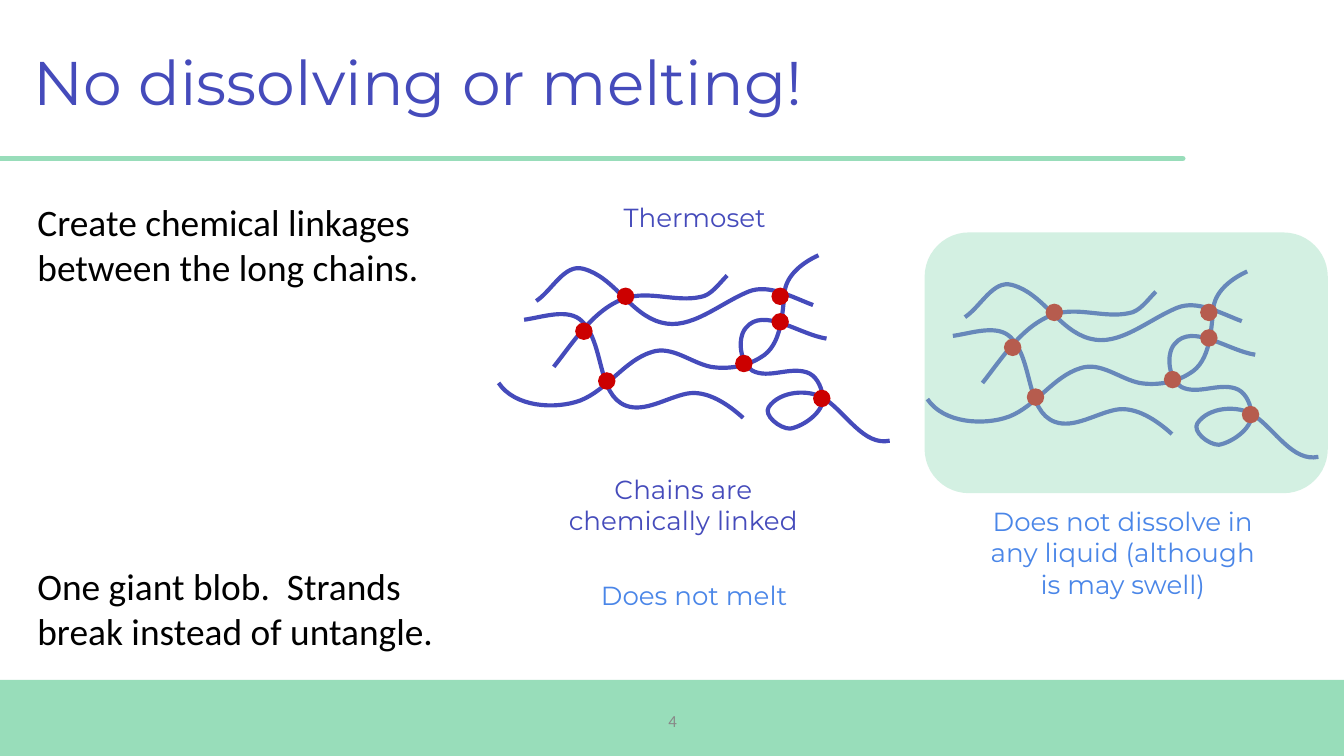
import pptx
import pptx.util
import pptx.dml.color
import pptx.enum.shapes
import pptx.enum.text
import pptx.oxml.ns
import lxml.etree

PX = 9144
HUES = {"mint": "98DDBA", "blue": "454BBB", "sky": "4A86E8",
        "red": "CC0000", "black": "000000", "gray": "888888"}
KINDS = pptx.enum.shapes.MSO_SHAPE
ALIGN = pptx.enum.text.PP_ALIGN
FIT = pptx.enum.text.MSO_AUTO_SIZE
MID = pptx.enum.text.MSO_ANCHOR.MIDDLE

LABEL = {"size": 14, "name": "Montserrat", "align": ALIGN.CENTER, "pads": (7, 4)}
NOTE = {"size": 20, "name": "Calibri", "align": ALIGN.LEFT, "pads": (10, 10)}

CHAINS = [
    [(28, 34), (40, 26), (49, 6), (63, 10), (86, 16), (98, 44), (121, 50),
     (143, 56), (164, 36), (186, 27), (201, 21), (218, 31), (234, 37)],
    [(41, 83), (56, 64), (71, 40), (94, 32), (112, 26), (132, 35), (150, 31),
     (158, 30), (164, 21), (170, 15)],
    [(238, 0), (227, 5), (215, 14), (213, 26), (211, 43), (211, 67), (195, 76),
     (184, 83), (170, 85), (158, 83), (143, 80), (129, 67), (114, 72),
     (94, 78), (81, 100), (61, 108), (42, 115), (12, 113), (0, 95)],
    [(19, 48), (33, 46), (52, 39), (62, 49), (79, 66), (73, 104), (95, 112),
     (109, 117), (125, 106), (140, 103), (155, 100), (171, 111), (182, 121)],
    [(244, 62), (224, 59), (197, 38), (184, 54), (177, 62), (180, 81), (189, 86),
     (201, 92), (216, 83), (229, 87), (236, 89), (240, 97), (241, 104),
     (244, 115), (228, 127), (217, 129), (209, 129), (197, 119), (201, 113),
     (209, 101), (231, 99), (243, 107), (259, 118), (272, 142), (291, 138)],
]
LINKS = [(88, 24), (57, 50), (74, 87), (176, 74), (203, 43), (203, 24), (234, 100)]
DOT = 13


def emu(*nums):
    return [round(num * PX) for num in nums]


def tint(name):
    return pptx.dml.color.RGBColor.from_string(HUES[name])


def put(item, form):
    for key, value in form.items():
        setattr(item, key, value)


def child(node, tag, **vals):
    part = lxml.etree.SubElement(node, pptx.oxml.ns.qn(tag))
    for key, value in vals.items():
        part.set(key, str(value))
    return part


def words(slide, box, text, hue, size, name, align, pads, mid=False, gap=None):
    shape = slide.shapes.add_textbox(*emu(*box))
    frame = shape.text_frame
    side, edge = emu(*pads)
    put(frame, {"word_wrap": True, "margin_left": side, "margin_right": side,
                "margin_top": edge, "margin_bottom": edge,
                "auto_size": FIT.NONE if mid else FIT.SHAPE_TO_FIT_TEXT})
    if mid:
        frame.vertical_anchor = MID
    line = frame.paragraphs[0]
    put(line, {"alignment": align, "line_spacing": gap})
    run = line.add_run()
    run.text = text
    put(run.font, {"size": pptx.util.Pt(size), "name": name})
    run.font.color.rgb = tint(hue)


def solid(slide, kind, box, hue):
    shape = slide.shapes.add_shape(kind, *emu(*box))
    shape.shadow.inherit = False
    shape.fill.solid()
    shape.fill.fore_color.rgb = tint(hue)
    shape.line.fill.background()
    return shape


def trace(knots, steps=40):
    for i in range(0, len(knots) - 1, 3):
        a, b, c, d = knots[i:i + 4]
        for j in range(1, steps + 1):
            t = j / steps
            u = 1 - t
            yield tuple(u**3 * p + 3 * u * u * t * q + 3 * u * t * t * r + t**3 * s
                        for p, q, r, s in zip(a, b, c, d))


def chain(slide, knots):
    knots = [emu(*knot) for knot in knots]
    build = slide.shapes.build_freeform(*knots[0])
    build.add_line_segments(list(trace(knots)), close=False)
    shape = build.convert_to_shape()
    route = shape._element.spPr.find(".//" + pptx.oxml.ns.qn("a:path"))
    for step in list(route):
        route.remove(step)
    for i, (x, y) in enumerate(knots):
        if i == 0:
            step = child(route, "a:moveTo")
        elif i % 3 == 1:
            step = child(route, "a:cubicBezTo")
        child(step, "a:pt", x=x - shape.left, y=y - shape.top)
    shape.shadow.inherit = False
    shape.fill.background()
    shape.line.width = pptx.util.Pt(2.25)
    shape.line.color.rgb = tint("blue")


def net(slide, left, top):
    for knots in CHAINS:
        chain(slide, [(left + x, top + y) for x, y in knots])
    for x, y in LINKS:
        solid(slide, KINDS.OVAL, (left + x, top + y, DOT, DOT), "red")


def foot(slide, left, top, width, height):
    solid(slide, KINDS.RECTANGLE, (left, top, width, height), "mint")
    words(slide, (left + 388, top + 15, 225, 30), "4", "gray", 9, "Calibri",
          ALIGN.CENTER, (7, 4), mid=True)


def head(slide, left, top, width, height):
    words(slide, (left + 18, top + 9, width - 18, height - 9),
          "No dissolving or melting!", "blue", 33, "Montserrat",
          ALIGN.LEFT, (7, 4), mid=True, gap=0.9)
    rule = slide.shapes.add_connector(
        pptx.enum.shapes.MSO_CONNECTOR.STRAIGHT,
        *emu(left, top + height, left + width, top + height))
    rule.line.width = pptx.util.Pt(3)
    rule.line.color.rgb = tint("mint")
    rule.line._get_or_add_ln().set("cap", "rnd")
    child(rule._element.spPr, "a:effectLst")


def notes(slide, left, top):
    words(slide, (left, top, 398, 88),
          "Create chemical linkages between the long chains.", "black", **NOTE)
    words(slide, (left, top + 271, 337, 88),
          "One giant blob.  Strands break instead of untangle.", "black", **NOTE)


def thermo(slide, left, top):
    words(slide, (left + 70, top, 152, 31), "Thermoset", "blue", **LABEL)
    net(slide, left, top + 44)
    words(slide, (left + 34, top + 202, 207, 55),
          "Chains are chemically linked", "blue", **LABEL)
    words(slide, (left + 33, top + 281, 225, 31), "Does not melt", "sky", **LABEL)


def bath(slide, left, top, width, height):
    words(slide, (left + 35, top + height + 5, 225, 102),
          "Does not dissolve in any liquid (although is may swell)", "sky", **LABEL)
    net(slide, left + 2, top + 29)
    pool = solid(slide, KINDS.ROUNDED_RECTANGLE, (left, top, width, height), "mint")
    pool.adjustments[0] = 0.17
    shade = pool._element.spPr.find(".//" + pptx.oxml.ns.qn("a:srgbClr"))
    child(shade, "a:alpha", val=42000)


def main():
    deck = pptx.Presentation()
    wide = 1000 * PX
    put(deck, {"slide_width": wide, "slide_height": wide * 9 // 16})
    slide = deck.slides.add_slide(deck.slide_layouts[6])
    foot(slide, 0, 506, 1000, 57)
    head(slide, 0, 0, 880, 118)
    notes(slide, 18, 138)
    thermo(slide, 371, 146)
    bath(slide, 688, 173, 300, 194)
    deck.save("out.pptx")


if __name__ == "__main__":
    main()
